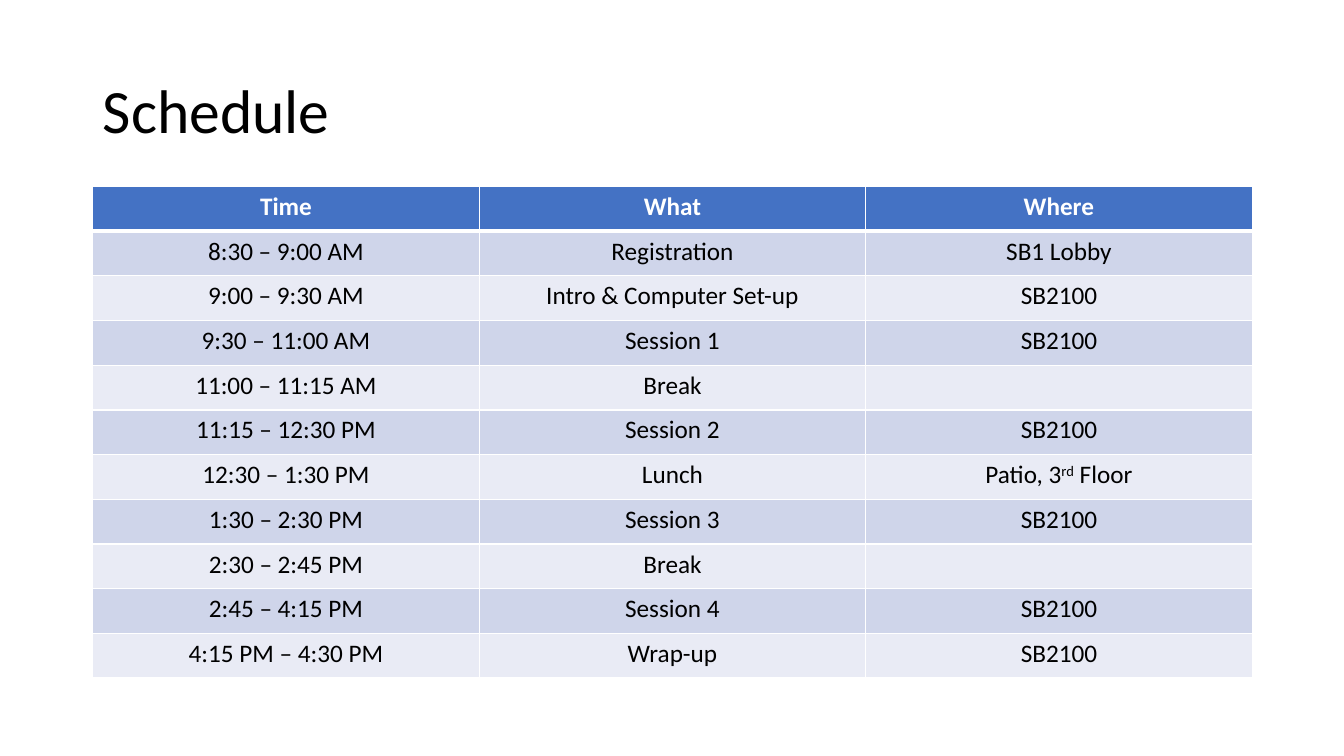
import pptx
import pptx.dml.color
import pptx.enum.text
import pptx.oxml
import pptx.oxml.ns
import pptx.util

WIDTH, HEIGHT = 13.33, 7.5
MARGIN = 0.92
CONTENT_WIDTH = 11.5
FONT = "Calibri"
BLACK, WHITE = "000000", "FFFFFF"
HEADER_FILL = "4472C4"
BAND_FILLS = ("CFD5EA", "E9EBF5")

# Text between carets is superscript.
SCHEDULE = [
    ("Time", "What", "Where"),
    ("8:30 – 9:00 AM", "Registration", "SB1 Lobby"),
    ("9:00 – 9:30 AM", "Intro & Computer Set-up", "SB2100"),
    ("9:30 – 11:00 AM", "Session 1", "SB2100"),
    ("11:00 – 11:15 AM", "Break", ""),
    ("11:15 – 12:30 PM", "Session 2", "SB2100"),
    ("12:30 – 1:30 PM", "Lunch", "Patio, 3^rd^ Floor"),
    ("1:30 – 2:30 PM", "Session 3", "SB2100"),
    ("2:30 – 2:45 PM", "Break", ""),
    ("2:45 – 4:15 PM", "Session 4", "SB2100"),
    ("4:15 PM – 4:30 PM", "Wrap-up", "SB2100"),
]


def color(hex_string):
    return pptx.dml.color.RGBColor.from_string(hex_string)


def inches(*lengths):
    return [pptx.util.Inches(length) for length in lengths]


def format_font(font, size, hex_string, bold=False):
    font.name = FONT
    font.size = pptx.util.Pt(size)
    font.bold = bold
    font.color.rgb = color(hex_string)


def set_borders(cell, top, bottom):
    """Draw white cell edges; top and bottom are widths in points."""
    properties = cell._tc.get_or_add_tcPr()
    for side, points in (("L", 1), ("R", 1), ("T", top), ("B", bottom)):
        properties.append(pptx.oxml.parse_xml(
            f'<a:ln{side} {pptx.oxml.ns.nsdecls("a")} w="{pptx.util.Pt(points)}">'
            f'<a:solidFill><a:srgbClr val="{WHITE}"/></a:solidFill></a:ln{side}>'))


def write_cell(cell, wording, is_header):
    paragraph = cell.text_frame.paragraphs[0]
    paragraph.alignment = pptx.enum.text.PP_ALIGN.CENTER
    if not wording:
        return
    for index, piece in enumerate(wording.split("^")):
        run = paragraph.add_run()
        run.text = piece
        format_font(run.font, 18, WHITE if is_header else BLACK, is_header)
        if index % 2:
            run._r.get_or_add_rPr().set("baseline", "30000")


def place_title(slide, wording, box):
    title = slide.shapes.title
    title.left, title.top, title.width, title.height = inches(*box)
    frame = title.text_frame
    frame.text = wording
    frame.word_wrap = True
    frame.vertical_anchor = pptx.enum.text.MSO_ANCHOR.MIDDLE
    heading = frame.paragraphs[0]
    heading.alignment = pptx.enum.text.PP_ALIGN.LEFT
    heading.line_spacing = 0.9
    format_font(heading.runs[0].font, 44, BLACK)


def place_schedule(slide, rows, box):
    schedule = slide.shapes.add_table(len(rows), len(rows[0]), *inches(*box)).table
    for row_index, row in enumerate(rows):
        is_header = row_index == 0
        fill = HEADER_FILL if is_header else BAND_FILLS[(row_index - 1) % 2]
        for column_index, wording in enumerate(row):
            cell = schedule.cell(row_index, column_index)
            set_borders(cell, top=3 if row_index == 1 else 1,
                        bottom=3 if is_header else 1)
            cell.fill.solid()
            cell.fill.fore_color.rgb = color(fill)
            write_cell(cell, wording, is_header)


def main():
    presentation = pptx.Presentation()
    presentation.slide_width, presentation.slide_height = inches(WIDTH, HEIGHT)
    slide = presentation.slides.add_slide(presentation.slide_layouts[5])
    place_title(slide, "Schedule", (MARGIN, 0.4, CONTENT_WIDTH, 1.45))
    place_schedule(slide, SCHEDULE, (MARGIN, 1.85, CONTENT_WIDTH, 4.88))
    presentation.save("out.pptx")


if __name__ == "__main__":
    main()
